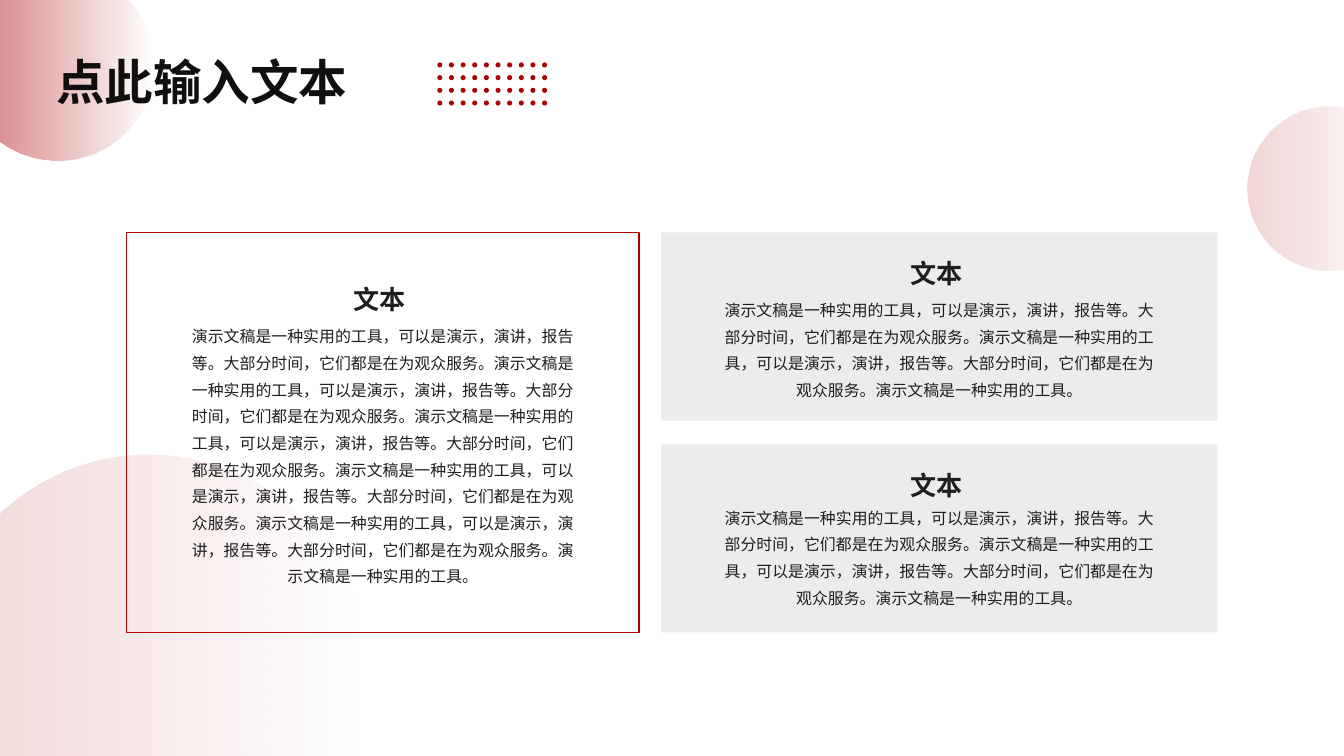
from pptx import Presentation
from pptx.dml.color import RGBColor
from pptx.enum.shapes import MSO_SHAPE as Preset
from pptx.enum.text import MSO_AUTO_SIZE as AutoSize, PP_ALIGN as Align
from pptx.oxml.ns import qn
from pptx.util import Cm, Pt
from lxml.etree import SubElement

COLORS = {"red": "AC0101", "card": "ECECEC", "title": "100F0D", "text": "1E1E1E"}
FONT = "Noto Sans CJK SC"

# Text formats: font attributes, line spacing and alignment
TITLE = {"font": {"size": Pt(52), "bold": True}, "color": "title",
         "paragraph": {"line_spacing": Pt(62.4), "alignment": Align.LEFT}}
HEADING = {"font": {"size": Pt(28), "bold": True}, "color": "text",
           "paragraph": {"line_spacing": Pt(43.7), "alignment": Align.CENTER}}
BODY = {"font": {"size": Pt(17), "bold": False}, "color": "text",
        "paragraph": {"line_spacing": Pt(28.6), "alignment": Align.CENTER}}

OPENING = "演示文稿是一种实用的工具"
SENTENCES = OPENING + "，可以是演示，演讲，报告等。大部分时间，它们都是在为观众服务。"


def rgb(name):
    return RGBColor.from_string(COLORS[name])


def add_block(slide, preset, box, fill=None, line=None):
    block = slide.shapes.add_shape(preset, *map(Cm, box))
    block.shadow.inherit = False
    if fill:
        block.fill.solid()
        block.fill.fore_color.rgb = rgb(fill)
    else:
        block.fill.background()
    if line:
        block.line.color.rgb = rgb(line)
        block.line.width = Pt(1.5)
    else:
        block.line.fill.background()
    return block


def add_text(slide, box, text, style):
    textbox = slide.shapes.add_textbox(*map(Cm, box))
    frame = textbox.text_frame
    margins = {f"margin_{side}": 0 for side in ("left", "top", "right", "bottom")}
    for key, value in margins.items():
        setattr(frame, key, value)
    frame.word_wrap = True
    frame.auto_size = AutoSize.SHAPE_TO_FIT_TEXT
    paragraph = frame.paragraphs[0]
    for key, value in style["paragraph"].items():
        setattr(paragraph, key, value)
    run = paragraph.add_run()
    run.text = text
    for key, value in style["font"].items():
        setattr(run.font, key, value)
    run.font.color.rgb = rgb(style["color"])
    run.font.name = FONT
    # East Asian characters take their own typeface
    SubElement(run.font._element, qn("a:ea"), typeface=FONT)


def add_fading_circle(slide, left, top, diameter, opacity):
    """Red circle fading out from left to right; opacity in percent."""
    circle = add_block(slide, Preset.OVAL, (left, top, diameter, diameter))
    circle.fill.gradient()
    circle.fill.gradient_angle = 0
    for stop, position in zip(circle.fill.gradient_stops, (0, 1)):
        stop.position = position
        stop.color.rgb = rgb("red")
    tints = circle.element.spPr.iter(qn("a:srgbClr"))
    for tint, alpha in zip(tints, (opacity, 0)):
        SubElement(tint, qn("a:alpha"), val=str(alpha * 1000))


def add_header(slide, left, top):
    """Title with a grid of dots to its right."""
    add_text(slide, (left, top, 17.02, 2.18), "点此输入文本", TITLE)
    for row in range(4):
        for column in range(10):
            dot = (left + 14.4 + 0.44 * column, top + 0.38 + 0.48 * row, 0.19, 0.19)
            add_block(slide, Preset.OVAL, dot, fill="red")


def add_panel(slide, box, heading_top, body_top, body_width, repeats, **look):
    """Rectangle with a centred heading and body text."""
    left, top, width, height = box
    heading_width = 7.16
    body_height = 1.01 * (4 if repeats == 2 else 10)
    add_block(slide, Preset.RECTANGLE, box, **look)
    add_text(slide, (left + (width - heading_width) / 2, top + heading_top,
                     heading_width, 1.42), "文本 ", HEADING)
    add_text(slide, (left + (width - body_width) / 2, top + body_top,
                     body_width, body_height),
             SENTENCES * repeats + OPENING + "。", BODY)


def main():
    prs = Presentation()
    prs.slide_width, prs.slide_height = Cm(50.8), Cm(28.58)
    slide = prs.slides.add_slide(prs.slide_layouts[6])

    # Header over the corner circle
    add_fading_circle(slide, -1.45, -1.19, 7.24, 54)
    add_header(slide, 2.13, 1.98)

    # Grey cards on the right
    add_panel(slide, (24.99, 8.79, 21.03, 7.11), 0.6, 2.29, 16.54, 2, fill="card")
    add_panel(slide, (24.99, 16.8, 21.03, 7.11), 0.6, 2.13, 16.4, 2, fill="card")

    # Outlined panel on the left over the large circle
    add_fading_circle(slide, -2.62, 17.2, 16.54, 17)
    add_panel(slide, (4.78, 8.79, 19.38, 15.13), 1.57, 3.28, 14.78, 5, line="red")

    # Circle at the right edge
    add_fading_circle(slide, 47.14, 4.04, 6.17, 17)

    prs.save("out.pptx")


if __name__ == "__main__":
    main()
